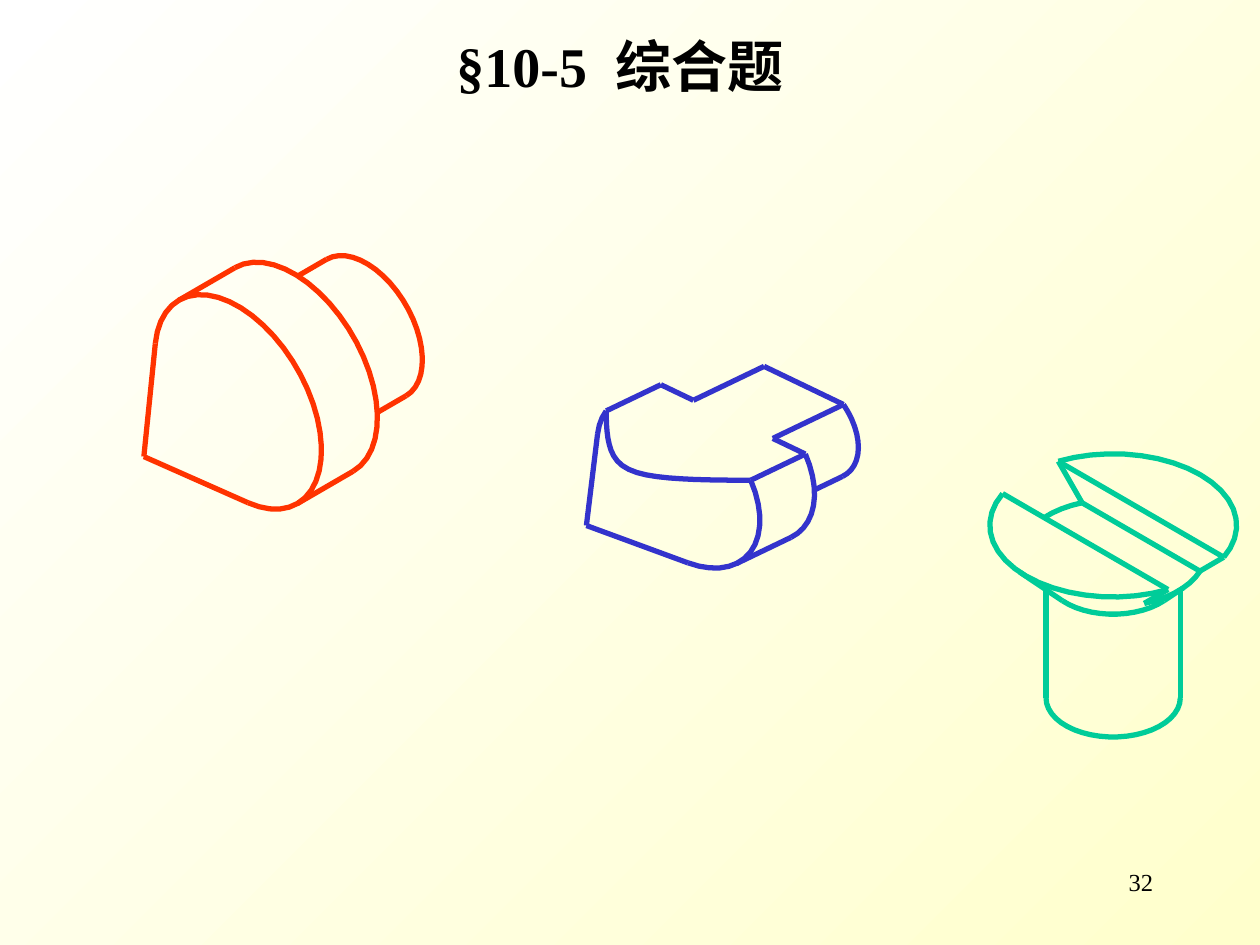
"""Draw three solids of revolution in axonometric projection under a title."""
from dataclasses import dataclass
from math import acos, asin, atan, ceil, cos, degrees, hypot, radians, sin, sqrt
from typing import Any, NamedTuple, Optional

from lxml.etree import SubElement
from pptx import Presentation
from pptx.dml.color import RGBColor
from pptx.enum.shapes import MSO_CONNECTOR
from pptx.enum.text import MSO_ANCHOR, PP_ALIGN
from pptx.oxml.ns import qn
from pptx.util import Inches, Pt

COLUMNS, ROWS = 1000, 750
CELL = Inches(10) // COLUMNS
ARC_STEP = 8


@dataclass(frozen=True)
class Theme:
    """Colours, font and sizes of the slide."""
    ink: str = "000000"
    glow: str = "FFFFCC"
    paper: str = "FFFFFF"
    red: str = "FF3300"
    blue: str = "3333CC"
    green: str = "00CC99"
    font: str = "Times New Roman"
    title_size: int = 32
    number_size: int = 14
    title_gap: int = 8
    stroke: int = 3


class Point(NamedTuple):
    """A point in space: x runs right and back, y right and forward, z up."""
    x: float
    y: float
    z: float


@dataclass(frozen=True)
class View:
    """An axonometric view: origin in cells, scales across and up, slope of x and y."""
    left: float
    top: float
    across: float = 0.87
    slope: float = 0.58
    up: float = 1

    @property
    def tilt(self) -> float:
        """Height that looks as tall as one unit of depth along x minus y."""
        return 2 * self.across * self.slope / self.up

    def project(self, point: Point) -> tuple:
        """Return the place of a point on the slide."""
        column = self.left + (point.x + point.y) * self.across
        row = self.top + (point.y - point.x) * self.across * self.slope - point.z * self.up
        return round(column * CELL), round(row * CELL)


@dataclass(frozen=True)
class Pivot:
    """A cone, disc and shaft along the x axis."""
    cone_length: float = 86
    disc_radius: float = 76
    disc_length: float = 51
    shaft_radius: float = 51
    shaft_length: float = 66


@dataclass(frozen=True)
class Screw:
    """A slotted countersunk screw along the z axis."""
    head_radius: float = 79.6
    head_depth: float = 39.6
    shank_radius: float = 43.3
    shank_end: float = 137
    slot_half: float = 25.4
    slot_depth: float = 22

    def radius_at(self, depth: float) -> float:
        """Return the radius of the conical head at a depth."""
        return self.head_radius - (self.head_radius - self.shank_radius) * depth / self.head_depth


THEME = Theme()


def sweep(start: float, end: float) -> list:
    """Return evenly spaced angles in radians between two angles in degrees."""
    steps = max(1, ceil(abs(end - start) / ARC_STEP))
    return [radians(start + (end - start) * step / steps) for step in range(steps + 1)]


def upright_arc(x: float, radius: float, start: float, end: float) -> list:
    """Return an arc around the x axis, counted from y towards z."""
    return [Point(x, radius * cos(angle), radius * sin(angle)) for angle in sweep(start, end)]


def level_arc(depth: float, radius: float, start: float, end: float) -> list:
    """Return an arc around the z axis, counted from x towards y."""
    return [Point(radius * cos(angle), radius * sin(angle), -depth)
            for angle in sweep(start, end)]


def between(start: Point, end: Point, share: float) -> Point:
    """Return the point at a share of the way from start to end."""
    return Point(*(first + (last - first) * share for first, last in zip(start, end)))


@dataclass(frozen=True)
class Pen:
    """Draws strokes of one colour in one view and one group."""
    shapes: Any
    view: View
    color: str

    def set_line(self, line) -> None:
        """Give a stroke its colour and width."""
        line.color.rgb = RGBColor.from_string(self.color)
        line.width = Pt(THEME.stroke)

    def curve(self, points: list) -> None:
        """Draw an open outline through points in space."""
        start, *others = map(self.view.project, points)
        builder = self.shapes.build_freeform(*start, scale=1)
        builder.add_line_segments(others, close=False)
        outline = builder.convert_to_shape()
        outline.shadow.inherit = False
        outline.fill.background()
        self.set_line(outline.line)

    def edges(self, *corners: Point) -> None:
        """Draw straight edges from corner to corner."""
        for start, end in zip(corners, corners[1:]):
            ends = self.view.project(start) + self.view.project(end)
            edge = self.shapes.add_connector(MSO_CONNECTOR.STRAIGHT, *ends)
            self.set_line(edge.line)
            SubElement(edge._element.spPr, qn("a:effectLst"))


def draw_pivot(pen: Pen, part: Pivot, cut: Optional[float] = None) -> None:
    """Draw the pivot, with everything above the cut height removed."""
    stretch, lean = hypot(1, pen.view.tilt), degrees(atan(pen.view.tilt))
    spread = degrees(acos(part.disc_radius / (part.cone_length * stretch)))
    low, high = lean + 180 + spread, lean + 540 - spread
    back, tip = part.disc_length, part.disc_length + part.shaft_length
    hidden = sqrt(part.disc_radius ** 2 - part.shaft_radius ** 2) / stretch
    apex = Point(-part.cone_length, 0, 0)
    rims = ((back, part.disc_radius, 0), (tip, part.shaft_radius, back + hidden))

    pen.edges(upright_arc(0, part.disc_radius, low, high)[0], apex,
              upright_arc(0, part.disc_radius, low, high)[-1])
    for x, radius, root in rims:
        top = lean + 90 if cut is None else degrees(asin(cut / radius))
        rim = upright_arc(x, radius, lean - 90, top)
        pen.curve(rim)
        for corner in rim[:1] if cut is not None else (rim[0], rim[-1]):
            pen.edges(corner._replace(x=root), corner)
    if cut is None:
        pen.curve(upright_arc(0, part.disc_radius, low, high))
    else:
        rise = degrees(asin(cut / part.disc_radius))
        pen.curve(upright_arc(0, part.disc_radius, low, 360 + rise))
        pen.curve(upright_arc(0, part.disc_radius, 540 - rise, high))
        draw_flat(pen, part, cut)


def draw_flat(pen: Pen, part: Pivot, cut: float) -> None:
    """Draw the flat left by the cut: stepped sides and a hyperbola on the cone."""
    wide, narrow = (sqrt(radius ** 2 - cut ** 2)
                    for radius in (part.disc_radius, part.shaft_radius))
    back, tip = part.disc_length, part.disc_length + part.shaft_length
    side = [(0, wide), (back, wide), (back, narrow), (tip, narrow)]
    mirrored = [(x, -y) for x, y in reversed(side)]
    pen.edges(*(Point(x, y, cut) for x, y in side + mirrored))
    widths = [wide * step / 10 for step in range(-10, 11)]
    pen.curve([Point(part.cone_length * (hypot(y, cut) / part.disc_radius - 1), y, cut)
               for y in widths])


def draw_screw(pen: Pen, part: Screw) -> None:
    """Draw the screw with its slot along the y axis."""
    floor_radius = part.radius_at(part.slot_depth)
    rim_angle = degrees(acos(part.slot_half / part.head_radius))
    floor_angle = degrees(acos(part.slot_half / floor_radius))
    covered_x = part.slot_depth / pen.view.tilt - part.slot_half
    covered_angle = degrees(acos(covered_x / floor_radius))
    taper = (part.head_radius - part.shank_radius) / part.head_depth
    dip = degrees(asin(taper * pen.view.tilt / sqrt(2)))

    far_rim = level_arc(0, part.head_radius, -rim_angle, rim_angle)
    near_rim = level_arc(0, part.head_radius, 180 - rim_angle, 180 + rim_angle)
    floor_front = level_arc(part.slot_depth, floor_radius, floor_angle, 180 - floor_angle)
    floor_back = level_arc(part.slot_depth, floor_radius, -floor_angle, -covered_angle)
    neck = level_arc(part.head_depth, part.shank_radius, 45 + dip, 225 - dip)
    head = level_arc(0, part.head_radius, 45 + dip, 225 - dip)
    end = level_arc(part.shank_end, part.shank_radius, 45, 225)
    for arc in (far_rim, near_rim, floor_front, floor_back, neck, end):
        pen.curve(arc)

    pen.edges(floor_back[0], far_rim[0], far_rim[-1], floor_front[0], floor_back[0])
    pen.edges(near_rim[-1], near_rim[0], floor_front[-1])
    level = cos(radians(dip))
    overlap = part.shank_radius * (1 - level) / (part.head_radius - part.shank_radius) / level
    slot_share = 1 - part.slot_depth / part.head_depth
    for side, visible in ((0, slot_share), (-1, 1)):
        pen.edges(neck[side], between(neck[side], head[side], visible))
        pen.edges(between(neck[side], head[side], overlap), end[side])


def add_text(page, text: str, *, cells: tuple, size: int, align, anchor=MSO_ANCHOR.TOP,
             bold: bool = False, gap: int = 0) -> None:
    """Add one line of text, widening its first space by the gap in points."""
    box = page.shapes.add_textbox(*(value * CELL for value in cells))
    frame = box.text_frame
    frame.word_wrap = True
    frame.vertical_anchor = anchor
    para = frame.paragraphs[0]
    para.alignment = align
    for part in filter(None, text.partition(" ")):
        span = para.add_run()
        span.text = part
        span.font.name, span.font.size, span.font.bold = THEME.font, Pt(size), bold
        span.font.color.rgb = RGBColor.from_string(THEME.ink)
        if part == " ":
            span.font._element.set("spc", str(gap * 100))


def paint_background(page) -> None:
    """Fill the page with a diagonal gradient."""
    fill = page.background.fill
    fill.gradient()
    fill.gradient_angle = 135
    for stop, position, color in zip(fill.gradient_stops, (0, 1), (THEME.glow, THEME.paper)):
        stop.position = position
        stop.color.rgb = RGBColor.from_string(color)


def main() -> None:
    """Build and save the deck."""
    deck = Presentation()
    deck.slide_width, deck.slide_height = COLUMNS * CELL, ROWS * CELL
    page = deck.slides.add_slide(deck.slide_layouts[6])
    paint_background(page)
    add_text(page, "32", cells=(717, 683, 208, 50), size=THEME.number_size,
             align=PP_ALIGN.RIGHT)
    add_text(page, "§10-5 综合题", cells=(67, 8, 850, 87), size=THEME.title_size,
             align=PP_ALIGN.CENTER, anchor=MSO_ANCHOR.MIDDLE, bold=True, gap=THEME.title_gap)

    solids = (
        (draw_pivot, View(189, 319), THEME.red, (Pivot(),)),
        (draw_pivot, View(538.5, 382, 0.85, 0.48, 0.81), THEME.blue, (Pivot(), 35)),
        (draw_screw, View(883.5, 417), THEME.green, (Screw(),)),
    )
    for draw, view, color, details in solids:
        draw(Pen(page.shapes.add_group_shape().shapes, view, color), *details)
    deck.save("out.pptx")


if __name__ == "__main__":
    main()
